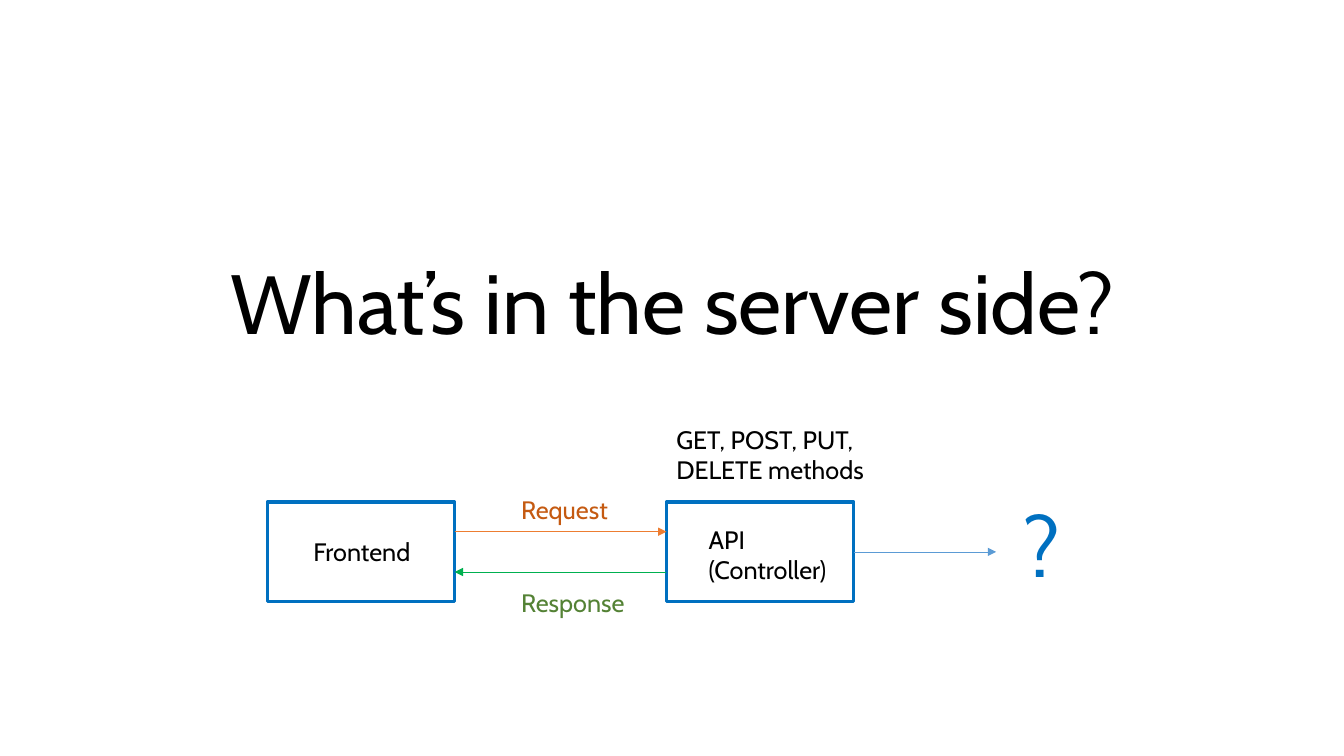
from lxml.etree import SubElement
from pptx import Presentation
from pptx.dml.color import RGBColor
from pptx.enum.shapes import MSO_CONNECTOR, MSO_SHAPE
from pptx.enum.text import MSO_ANCHOR, PP_ALIGN
from pptx.oxml.ns import qn
from pptx.util import Inches, Pt

FONT = "Cabin"
BLACK = RGBColor(0x00, 0x00, 0x00)
WHITE = RGBColor(0xFF, 0xFF, 0xFF)
BLUE = RGBColor(0x00, 0x70, 0xC0)
LIGHT_BLUE = RGBColor(0x5B, 0x9B, 0xD5)
ORANGE = RGBColor(0xED, 0x7D, 0x31)
DARK_ORANGE = RGBColor(0xC5, 0x5A, 0x11)
GREEN = RGBColor(0x00, 0xB0, 0x50)
DARK_GREEN = RGBColor(0x54, 0x82, 0x35)
NODE_WIDTH, NODE_HEIGHT = 1.86, 0.99


def add_text(page, box, text, color=BLACK, size=18):
    """Add a wrapping text box and return its text frame."""
    frame = page.shapes.add_textbox(*map(Inches, box)).text_frame
    frame.word_wrap = True
    frame.text = text
    for para in frame.paragraphs:
        for span in para.runs:
            span.font.name = FONT
            span.font.size = Pt(size)
            span.font.color.rgb = color
    return frame


def add_arrow(page, start, end, color):
    """Add a thin arrow pointing at its end."""
    arrow = page.shapes.add_connector(MSO_CONNECTOR.STRAIGHT, *map(Inches, (*start, *end)))
    arrow.line.color.rgb = color
    arrow.line.width = Pt(0.5)
    SubElement(arrow.line._get_or_add_ln(), qn("a:tailEnd"), type="triangle")
    SubElement(arrow._element.spPr, qn("a:effectLst"))
    return arrow


def add_node(page, left, top, label_box, label):
    """Add an outlined node with a label placed relative to its corner."""
    node = page.shapes.add_shape(
        MSO_SHAPE.RECTANGLE, *map(Inches, (left, top, NODE_WIDTH, NODE_HEIGHT)))
    node.shadow.inherit = False
    node.fill.solid()
    node.fill.fore_color.rgb = WHITE
    node.line.color.rgb = BLUE
    node.line.width = Pt(2.25)
    dx, dy, width, height = label_box
    add_text(page, (left + dx, top + dy, width, height), label)
    return node


def add_title(page, box):
    """Add the centred title at the bottom of its box."""
    frame = add_text(page, box, "What’s in the server side?", size=60)
    frame.vertical_anchor = MSO_ANCHOR.BOTTOM
    frame.paragraphs[0].alignment = PP_ALIGN.CENTER
    frame.paragraphs[0].line_spacing = 0.9


def add_flow(page, box):
    """Add the request flow from frontend to API and beyond."""
    left, top, width, height = box
    api_left = left + 3.96
    frontend_right, api_right = left + NODE_WIDTH, api_left + NODE_WIDTH
    middle = top + NODE_HEIGHT / 2
    request_y, response_y = middle - 0.2, middle + 0.2
    add_node(page, left, top, (0.36, 0.29, 1.18, 0.4), "Frontend")
    api = add_node(page, api_left, top, (0.32, 0.17, 1.43, 0.71), "API\n(Controller)")
    add_arrow(page, (frontend_right, request_y), (api_left, request_y), ORANGE)
    add_arrow(page, (api_left, response_y), (frontend_right, response_y), GREEN)
    label_left = frontend_right + 0.56
    add_text(page, (label_left, top - 0.13, 1.56, 0.4), "Request", DARK_ORANGE)
    add_text(page, (label_left, top + 0.8, 1.56, 0.4), "Response", DARK_GREEN)
    add_text(page, (api_left, top - 0.82, 2.17, 0.71), "GET, POST, PUT, DELETE methods")
    onward = add_arrow(page, (api_right, middle), (api_right + 1.41, middle), LIGHT_BLUE)
    onward.begin_connect(api, 3)
    add_text(page, (left + width - 1.04, top - 0.13, 1.04, height + 0.12), "?", BLUE, 60)


def main():
    """Build and save the slide."""
    deck = Presentation()
    deck.slide_width, deck.slide_height = Inches(13.33), Inches(7.5)
    page = deck.slides.add_slide(deck.slide_layouts[6])
    add_title(page, (1.67, 0.94, 10, 2.61))
    add_flow(page, (2.65, 4.98, 8.44, NODE_HEIGHT))
    deck.save("out.pptx")


if __name__ == "__main__":
    main()
